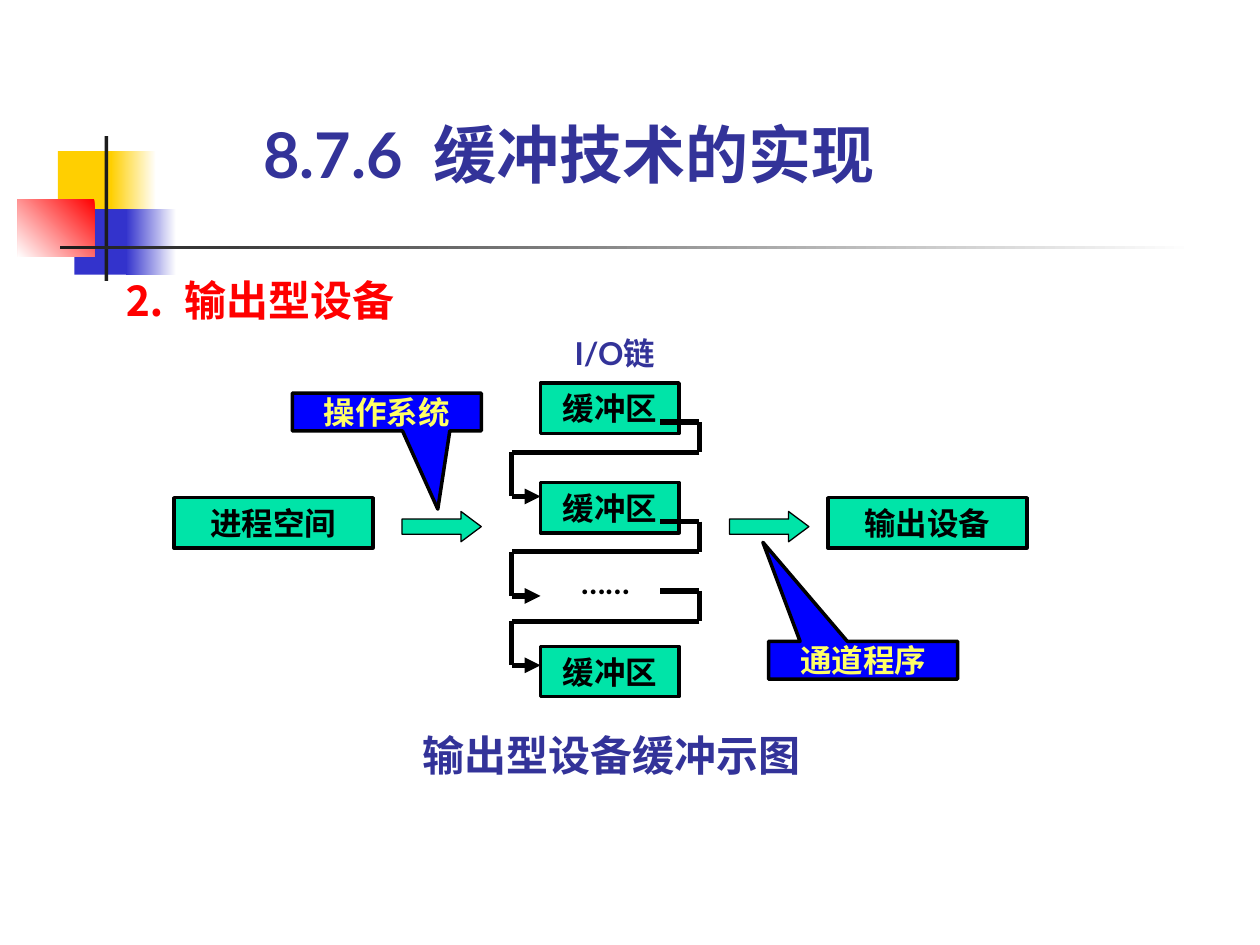
from itertools import pairwise

from lxml import etree
from pptx import Presentation
from pptx.dml.color import RGBColor
from pptx.enum import shapes, text
from pptx.oxml.ns import qn
from pptx.util import Inches, Pt

FONT = "Lato"
COLORS = {
    "white": "FFFFFF", "black": "000000", "ink": "1C1C1C",
    "yellow": "FFCF01", "blue": "3333CC", "red": "FF0000",
    "heading": "333399", "green": "00E4A8",
    "callout": "0000FF", "callout_text": "FFFF66",
}

# Content: fills are one colour, or (from, to, clockwise angle)
DECORATION = [
    ((0.46, 1.2, 0.48, 0.52), "yellow"),
    ((0.88, 1.2, 0.36, 0.52), ("white", "yellow", 180)),
    ((0.59, 1.66, 0.46, 0.52), "blue"),
    ((1, 1.66, 0.4, 0.52), ("white", "blue", 180)),
    ((0.14, 1.58, 0.61, 0.46), ("red", "white", 135)),
    ((0.83, 1.08, 0.03, 1.15), "ink"),
    ((0.48, 1.95, 9, 0.03), ("white", "ink", 180)),
]
LABELS = [  # text, place, size, colour, centred
    ("8.7.6  缓冲技术的实现", (2.09, 0.92, 5.67, 0.6), 36, "heading", False),
    ("⒉  输出型设备", (0.98, 2.18, 2.36, 0.4), 24, "red", False),
    ("I/O链", (4.37, 2.65, 1.02, 0.3), 18, "heading", True),
    ("……", (4.45, 4.47, 0.71, 0.3), 18, "black", True),
    ("输出型设备缓冲示图", (3.35, 5.79, 3.38, 0.4), 24, "heading", False),
]
ENDPOINTS = [("进程空间", 1.38), ("输出设备", 6.57)]
BUFFER_TOPS = [3.04, 3.83, 5.13]
FLOW_LEFTS = [3.19, 5.79]
CHAIN_TOPS = [3.35, 4.14, 4.69]
CALLOUTS = [  # text, left, top, pointer offset
    ("通道程序", 6.1, 5.09, (-0.53, -3.12)),
    ("操作系统", 2.32, 3.12, (0.27, 2.57)),
]

prs = Presentation()
prs.slide_width, prs.slide_height = Inches(10), Inches(7.5)
slide = prs.slides.add_slide(prs.slide_layouts[6])


def rgb(name):
    return RGBColor.from_string(COLORS[name])


def write(shape, words, size, color, centred=True, anchor="MIDDLE", insets=(0, 0)):
    frame = shape.text_frame
    frame.text = words
    frame.word_wrap = True
    frame.vertical_anchor = text.MSO_ANCHOR[anchor]
    frame.margin_left = frame.margin_right = Inches(insets[0])
    frame.margin_top = frame.margin_bottom = Inches(insets[1])
    paragraph = frame.paragraphs[0]
    paragraph.alignment = text.PP_ALIGN.CENTER if centred else text.PP_ALIGN.LEFT
    font = paragraph.runs[0].font
    font.name, font.size, font.bold = FONT, Pt(size), True
    font.color.rgb = rgb(color)


def add_shape(kind, place, fill, line=0, adjust=()):
    shape = slide.shapes.add_shape(shapes.MSO_SHAPE[kind], *map(Inches, place))
    shape.shadow.inherit = False
    for i, value in enumerate(adjust):
        shape.adjustments[i] = value
    if isinstance(fill, tuple):
        start, end, angle = fill
        shape.fill.gradient()
        shape.fill.gradient_angle = 360 - angle
        for stop, color in zip(shape.fill.gradient_stops, (start, end)):
            stop.color.rgb = rgb(color)
    else:
        shape.fill.solid()
        shape.fill.fore_color.rgb = rgb(fill)
    if line:
        shape.line.color.rgb = rgb("black")
        shape.line.width = Pt(line)
    else:
        shape.line.fill.background()
    return shape


def add_line(start, end, arrow=False):
    line = slide.shapes.add_connector(
        shapes.MSO_CONNECTOR.STRAIGHT, *map(Inches, start + end))
    line.line.color.rgb = rgb("black")
    line.line.width = Pt(3)
    if arrow:
        etree.SubElement(line.line._get_or_add_ln(), qn("a:tailEnd"), type="triangle")
    etree.SubElement(line._element.spPr, qn("a:effectLst"))


# Corner decoration and title rule
for place, fill in DECORATION:
    add_shape("RECTANGLE", place, fill)

# Title, headings and caption
for words, place, size, color, centred in LABELS:
    box = slide.shapes.add_textbox(*map(Inches, place))
    write(box, words, size, color, centred, "BOTTOM" if size == 36 else "TOP")

# Process space, output device and buffers
boxes = [(words, (left, 3.95, 1.58, 0.4)) for words, left in ENDPOINTS]
boxes += [("缓冲区", (4.29, top, 1.1, 0.4)) for top in BUFFER_TOPS]
for words, place in boxes:
    box = add_shape("RECTANGLE", place, "green", 2)
    write(box, words, 18, "black", insets=(0.1, 0.05))

# Data flow arrows
for left in FLOW_LEFTS:
    add_shape("RIGHT_ARROW", (left, 4.06, 0.63, 0.24), "green", 0.75, (0.5, 0.67))

# I/O chain: each link runs right, down, back left and into the next buffer
for top in CHAIN_TOPS:
    corners = [(5.24, top), (5.55, top), (5.55, top + 0.24),
               (4.06, top + 0.24), (4.06, top + 0.59), (4.29, top + 0.59)]
    for start, end in pairwise(corners):
        add_line(start, end, arrow=end == corners[-1])

# Callouts
for words, left, top, pointer in CALLOUTS:
    callout = add_shape("RECTANGULAR_CALLOUT", (left, top, 1.5, 0.3),
                        "callout", 2, pointer)
    write(callout, words, 18, "callout_text")

prs.save("out.pptx")
